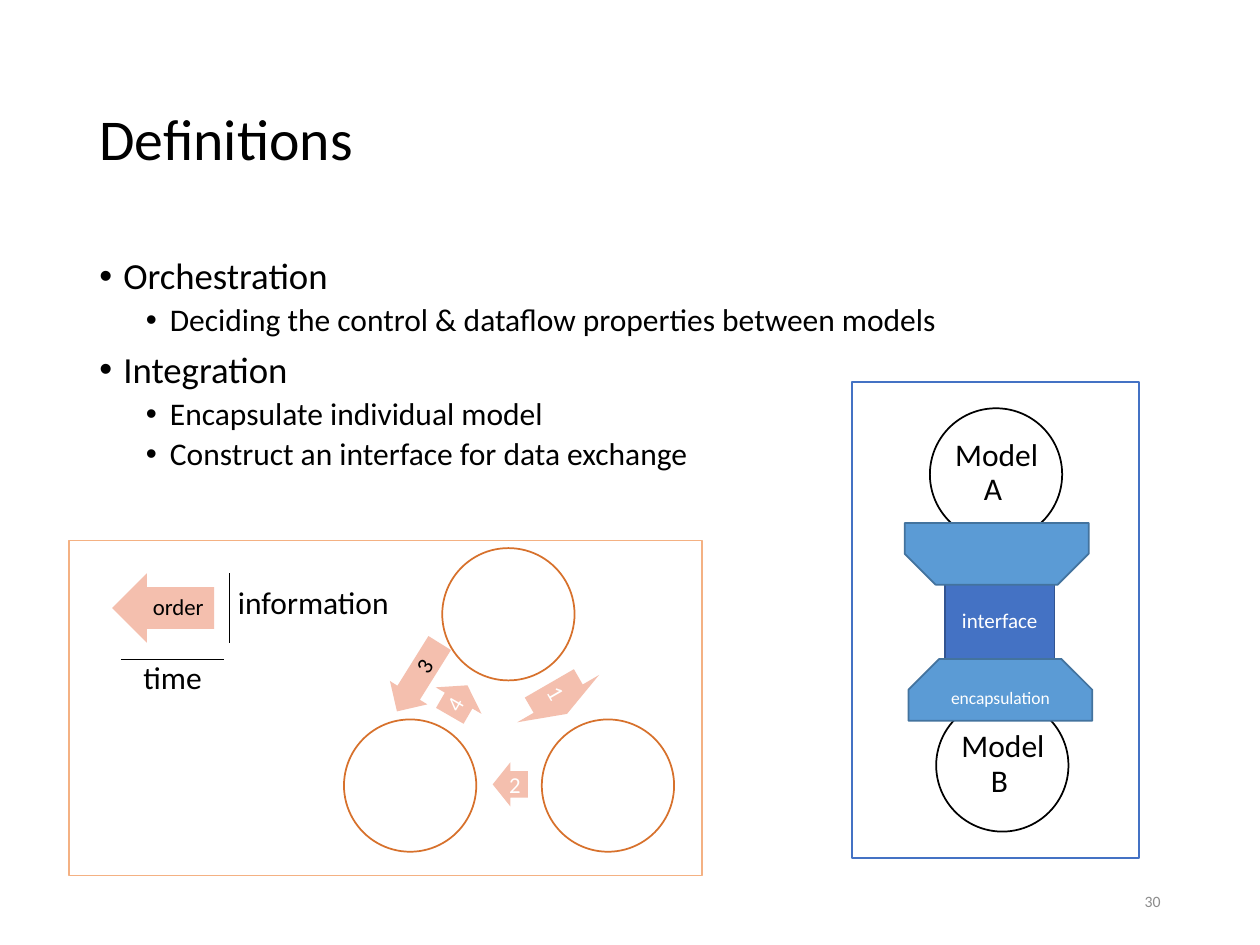
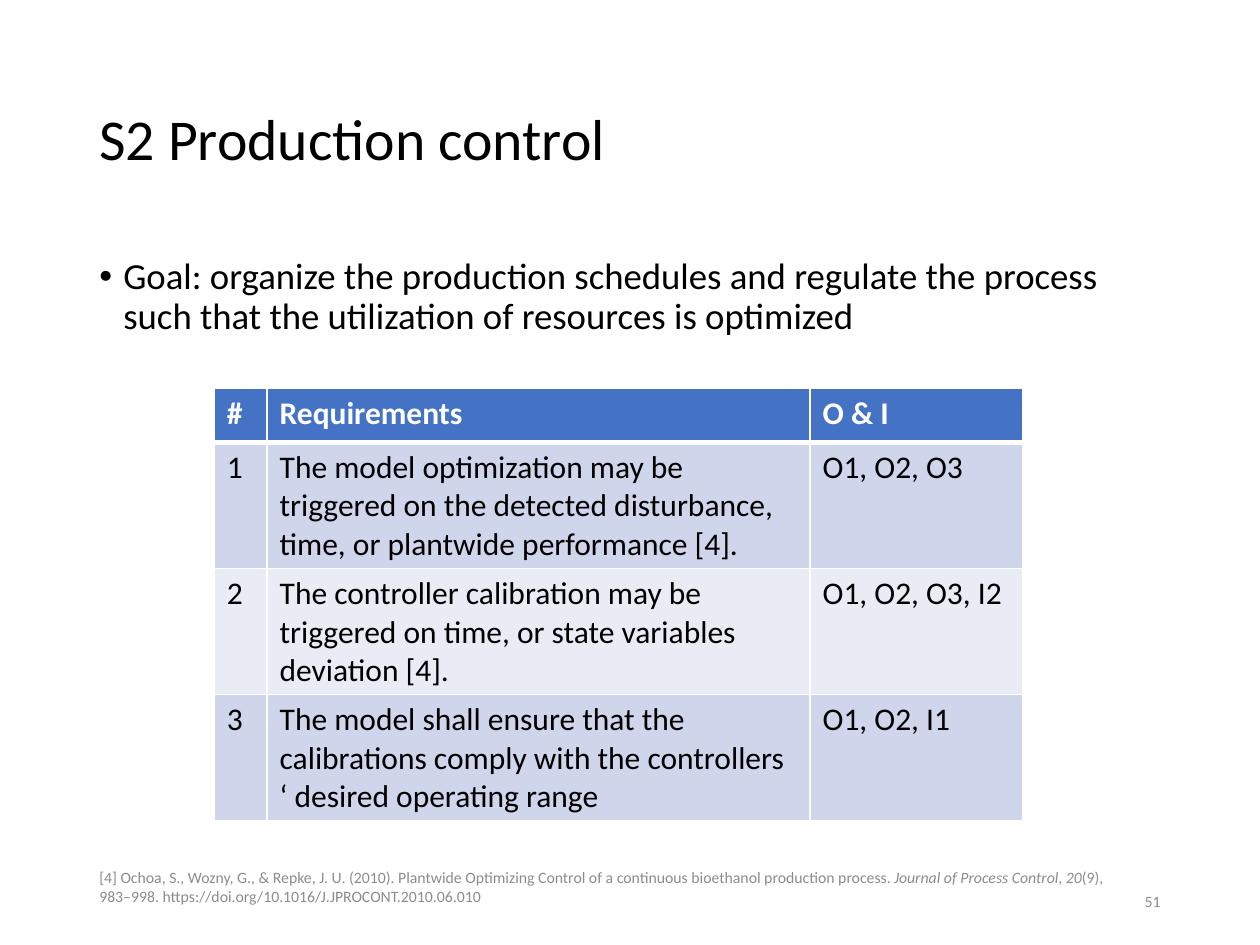
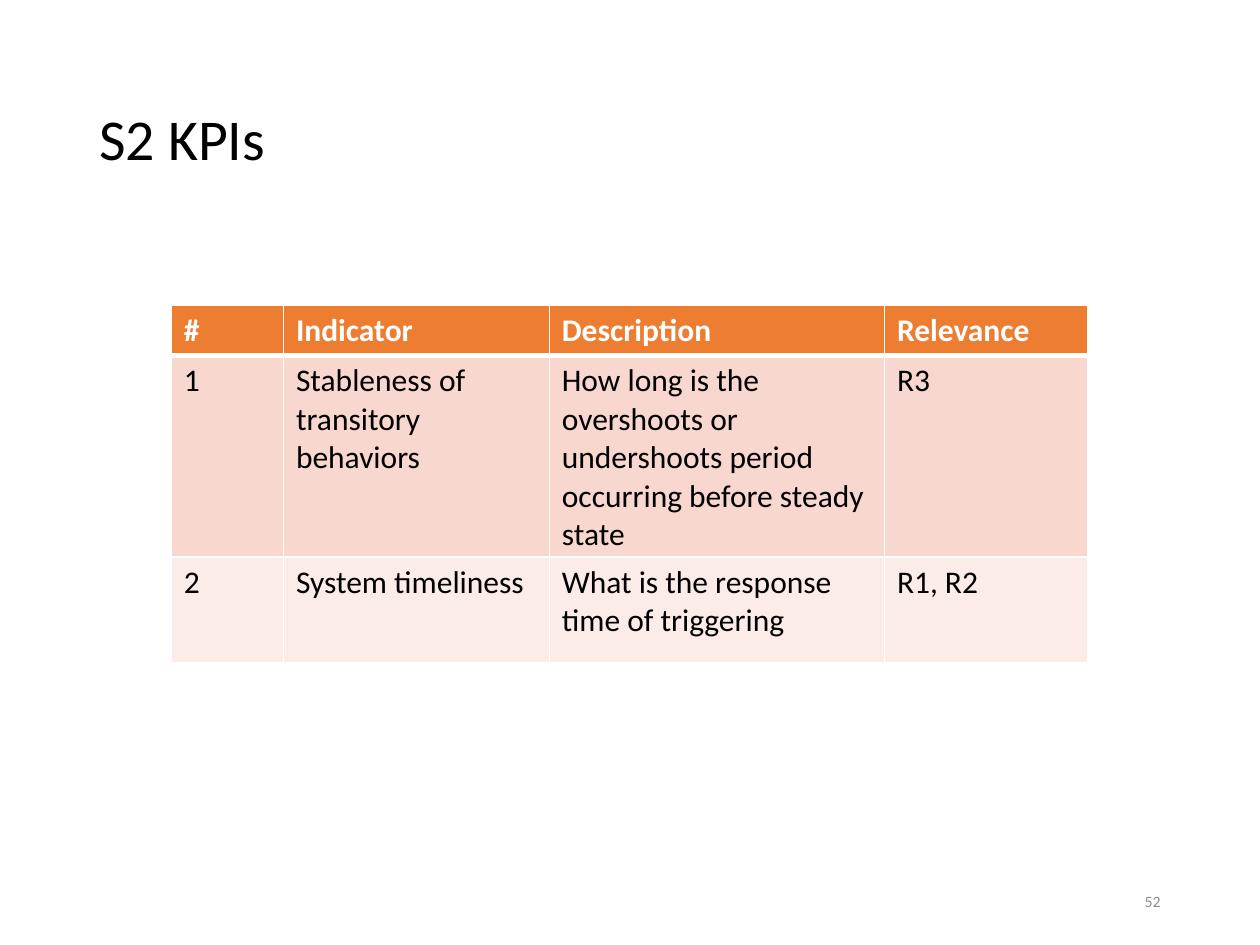
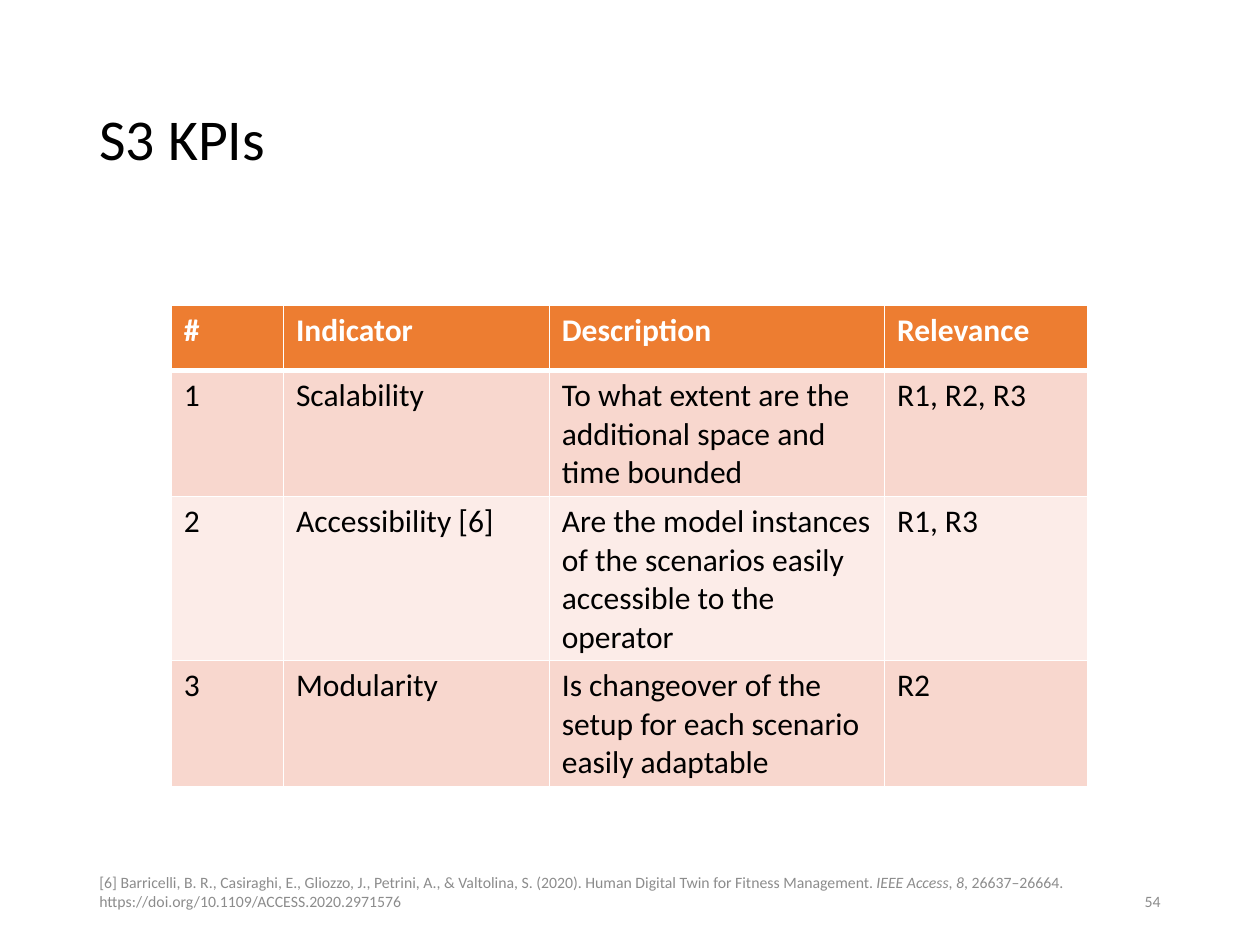
from dataclasses import dataclass

from lxml.etree import SubElement
from pptx import Presentation
from pptx.dml.color import RGBColor
from pptx.enum.shapes import MSO_CONNECTOR as Line, MSO_SHAPE as Shape
from pptx.enum.text import MSO_ANCHOR as Anchor, PP_ALIGN as Align
from pptx.oxml.ns import qn
from pptx.util import Inches, Pt


@dataclass(frozen=True)
class Theme:
    font: str = "Calibri"
    black: str = "000000"
    white: str = "FFFFFF"
    grey: str = "8C8C8C"
    blue: str = "4472C4"
    blue_edge: str = "325491"
    blue_bands: tuple = ("CFD5EA", "E9EBF5")
    sky: str = "5B9BD5"
    sky_edge: str = "43739E"
    orange: str = "ED7D31"
    orange_edge: str = "D7712C"
    orange_frame: str = "F4B183"
    orange_bands: tuple = ("F8D7CE", "FCECE8")
    salmon: str = "F4BFAE"
    title_size: float = 33
    bullet_sizes: tuple = (21, 18)
    text_size: float = 18
    arrow_size: float = 13
    interface_size: float = 12
    cap_size: float = 10
    footer_size: float = 9


THEME = Theme()


def rgb(colour):
    return RGBColor.from_string(colour)


def lengths(values):
    return [Inches(value) for value in values]


class Deck:
    """Holds the style and the slide being filled."""

    def __init__(self, theme):
        self.theme = theme
        self.prs = Presentation()
        self.prs.slide_width, self.prs.slide_height = Inches(10), Inches(7.5)
        self.slide = None

    def new_slide(self, title, number):
        self.slide = self.prs.slides.add_slide(self.prs.slide_layouts[6])
        theme = self.theme
        self.text((0.69, 0.4, 8.62, 1.45), title, theme.title_size,
                  anchor=Anchor.MIDDLE, spacing=0.9)
        self.text((7.06, 6.95, 2.25, 0.4), str(number), theme.footer_size,
                  theme.grey, Align.RIGHT, Anchor.MIDDLE)

    def style(self, paragraph, size, colour, bold=False):
        for run in paragraph.runs:
            run.font.name = self.theme.font
            run.font.size = Pt(size)
            run.font.bold = bold
            run.font.color.rgb = rgb(colour)

    def text(self, box, words, size, colour=THEME.black, align=Align.LEFT,
             anchor=Anchor.TOP, spacing=1.0, inset=None, rotation=0):
        holder = self.slide.shapes.add_textbox(*lengths(box))
        holder.rotation = rotation
        frame = holder.text_frame
        frame.word_wrap = True
        frame.vertical_anchor = anchor
        if inset is not None:
            frame.margin_left = frame.margin_right = Inches(inset)
            frame.margin_top = frame.margin_bottom = Inches(inset)
        frame.text = words
        paragraph = frame.paragraphs[0]
        paragraph.alignment = align
        paragraph.line_spacing = spacing
        self.style(paragraph, size, colour)
        return frame

    def label(self, box, words, size, colour, inset=0, rotation=0):
        self.text(box, words, size, colour, Align.CENTER, Anchor.MIDDLE,
                  0.9, inset, rotation)

    def bullets(self, items):
        holder = self.slide.shapes.add_textbox(*lengths((0.69, 2, 8.62, 4.76)))
        frame = holder.text_frame
        frame.word_wrap = True
        for index, (level, words) in enumerate(items):
            paragraph = frame.add_paragraph() if index else frame.paragraphs[0]
            paragraph.text = words
            paragraph.level = level
            paragraph.line_spacing = 0.9
            if index:
                paragraph.space_before = Pt((7.5, 3.8)[level])
            properties = paragraph._p.get_or_add_pPr()
            properties.set("marL", str(Inches((0.19, 0.56)[level])))
            properties.set("indent", str(Inches(-0.19)))
            SubElement(properties, qn("a:buFont"), typeface="Arial")
            SubElement(properties, qn("a:buChar"), char="•")
            self.style(paragraph, self.theme.bullet_sizes[level], self.theme.black)

    def citation(self, box, parts):
        """Parts alternate between upright and italic."""
        frame = self.text(box, "", self.theme.footer_size, anchor=Anchor.MIDDLE)
        frame.margin_bottom = Inches(0.2)
        paragraph = frame.paragraphs[0]
        for index, part in enumerate(parts):
            run = paragraph.add_run()
            run.text = part
            run.font.italic = index % 2 == 1
        self.style(paragraph, self.theme.footer_size, self.theme.grey)

    def shape(self, kind, box, fill=None, edge=None, rotation=0, adjust=(),
              words="", size=None):
        item = self.slide.shapes.add_shape(kind, *lengths(box))
        item.shadow.inherit = False
        item.rotation = rotation
        for index, value in enumerate(adjust):
            item.adjustments[index] = value
        if fill:
            item.fill.solid()
            item.fill.fore_color.rgb = rgb(fill)
        else:
            item.fill.background()
        if edge:
            item.line.color.rgb = rgb(edge)
            item.line.width = Pt(1)
        else:
            item.line.fill.background()
        if words:
            item.text_frame.text = words
            item.text_frame.vertical_anchor = Anchor.MIDDLE
            item.text_frame.paragraphs[0].alignment = Align.CENTER
            self.style(item.text_frame.paragraphs[0], size, self.theme.white)

    def circle(self, left, top, edge):
        self.shape(Shape.OVAL, (left, top, 1.05, 1.05), self.theme.white, edge)

    def model(self, left, top, name):
        self.circle(left, top, self.theme.black)
        self.label((left + 0.16, top + 0.15, 0.74, 0.74), name,
                   self.theme.text_size, self.theme.black, inset=0.03)

    def cap(self, left, top, rotation=0, words=""):
        self.shape(Shape.SNIP_2_SAME_RECTANGLE, (left, top, 1.46, 0.49),
                   self.theme.sky, self.theme.sky_edge, rotation, (0.5, 0),
                   words, self.theme.cap_size)

    def arrow(self, box, rotation, words, label_box, label_rotation, colour):
        self.shape(Shape.RIGHT_ARROW, box, self.theme.salmon,
                   rotation=rotation, adjust=(0.6, 0.5))
        self.label(label_box, words, self.theme.arrow_size, colour,
                   rotation=label_rotation)

    def rule(self, start, end):
        line = self.slide.shapes.add_connector(
            Line.STRAIGHT, *lengths(start + end))
        line.line.color.rgb = rgb(self.theme.black)
        line.line.width = Pt(0.5)
        SubElement(line._element.spPr, qn("a:effectLst"))

    def table(self, left, top, columns, heights, rows, head, bands):
        box = lengths((left, top, sum(columns), sum(heights)))
        grid = self.slide.shapes.add_table(len(rows), len(columns), *box).table
        grid.horz_banding = False
        for column, width in zip(grid.columns, columns):
            column.width = Inches(width)
        for row, height in zip(grid.rows, heights):
            row.height = Inches(height)
        for r, row in enumerate(rows):
            for c, words in enumerate(row):
                cell = grid.cell(r, c)
                cell.text = words
                top_width = 3 if r == 1 else 1
                bottom_width = 3 if r == 0 else 1
                self.borders(cell, lnL=1, lnR=1, lnT=top_width, lnB=bottom_width)
                cell.fill.solid()
                cell.fill.fore_color.rgb = rgb(bands[(r - 1) % 2] if r else head)
                colour = self.theme.black if r else self.theme.white
                self.style(cell.text_frame.paragraphs[0], self.theme.text_size,
                           colour, bold=r == 0)

    def borders(self, cell, **widths):
        properties = cell._tc.get_or_add_tcPr()
        for side, width in widths.items():
            line = SubElement(properties, qn(f"a:{side}"), w=str(Pt(width)))
            fill = SubElement(line, qn("a:solidFill"))
            SubElement(fill, qn("a:srgbClr"), val=self.theme.white)

    def kpi_table(self, heights, rows):
        self.table(1.36, 2.42, (0.89, 2.11, 2.66, 1.61), heights,
                   [("#", "Indicator", "Description", "Relevance"), *rows],
                   self.theme.orange, self.theme.orange_bands)


def definitions(deck):
    theme = deck.theme
    deck.new_slide("Definitions", 30)
    deck.bullets([
        (0, "Orchestration"),
        (1, "Deciding the control & dataflow properties between models"),
        (0, "Integration"),
        (1, "Encapsulate individual model"),
        (1, "Construct an interface for data exchange"),
    ])

    # Orchestration: cycle of models with ordered exchanges
    for left, top in ((3.51, 4.35), (4.3, 5.71), (2.73, 5.71)):
        deck.circle(left, top, theme.orange_edge)
    for exchange in (
        ((4.29, 5.17, 0.28, 0.75), 60, "1", (4.31, 5.28, 0.19, 0.45), 60, theme.white),
        ((3.91, 6.05, 0.28, 0.35), 180, "2", (3.99, 6.13, 0.19, 0.21), 0, theme.white),
        ((3.5, 5.35, 0.28, 0.42), 300, "4", (3.52, 5.47, 0.19, 0.25), 300, theme.white),
        ((3, 5.2, 0.64, 0.35), 122, "3", (3.15, 5.19, 0.45, 0.21), 302, theme.black),
        ((0.89, 4.55, 0.81, 0.55), 180, "order", (1.13, 4.66, 0.57, 0.33), 0, theme.black),
    ):
        deck.arrow(*exchange)

    # Legend of the arrows
    deck.rule((0.96, 5.23), (1.78, 5.23))
    deck.rule((1.82, 4.55), (1.82, 5.1))
    deck.text((1.04, 5.17, 1.09, 0.4), "time", theme.text_size)
    deck.text((1.79, 4.58, 1.53, 0.4), "information", theme.text_size)
    deck.shape(Shape.RECTANGLE, (0.55, 4.29, 5.02, 2.66), edge=theme.orange_frame)

    # Integration: two encapsulated models joined by an interface
    deck.shape(Shape.RECTANGLE, (7.5, 4.61, 0.87, 0.62), theme.blue,
               theme.blue_edge, words="interface", size=theme.interface_size)
    deck.model(7.38, 3.24, "Model A ")
    deck.model(7.43, 5.55, "Model B ")
    deck.cap(7.21, 5.23, words="encapsulation")
    deck.cap(7.18, 4.15, rotation=180)
    deck.shape(Shape.RECTANGLE, (6.76, 3.03, 2.28, 3.78), edge=theme.blue)


def production_control(deck):
    deck.new_slide("S2 Production control", 51)
    deck.bullets([(0, "Goal: organize the production schedules and regulate the "
                      "process such that the utilization of resources is optimized")])
    deck.citation((0.69, 6.95, 8.43, 0.33), (
        "[4] Ochoa, S., Wozny, G., & Repke, J. U. (2010). Plantwide Optimizing "
        "Control of a continuous bioethanol production process. ",
        "Journal of Process Control", ", ", "20",
        "(9), 983–998. https://doi.org/10.1016/J.JPROCONT.2010.06.010"))
    deck.table(1.7, 3.08, (0.42, 4.31, 1.69), (0.43, 0.62, 0.64, 0.62), [
        ("#", "Requirements", "O & I"),
        ("1", "The model optimization may be triggered on the detected "
              "disturbance, time, or plantwide performance [4].", "O1, O2, O3"),
        ("2", "The controller calibration may be triggered on time, or state "
              "variables deviation [4].", "O1, O2, O3, I2"),
        ("3", "The model shall ensure that the calibrations comply with the "
              "controllers ‘ desired operating range", "O1, O2, I1"),
    ], deck.theme.blue, deck.theme.blue_bands)


def production_kpis(deck):
    deck.new_slide("S2 KPIs", 52)
    deck.kpi_table((0.4, 1.14, 0.84), [
        ("1", "Stableness of transitory behaviors",
         "How long is the overshoots or undershoots period occurring before "
         "steady state", "R3"),
        ("2", "System timeliness", "What is the response time of triggering",
         "R1, R2"),
    ])


def scenario_kpis(deck):
    deck.new_slide("S3 KPIs", 54)
    deck.kpi_table((0.52, 0.59, 0.82, 0.82), [
        ("1", "Scalability",
         "To what extent are the additional space and time bounded", "R1, R2, R3"),
        ("2", "Accessibility [6]",
         "Are the model instances of the scenarios easily accessible to the "
         "operator", "R1, R3"),
        ("3", "Modularity",
         "Is changeover of the setup for each scenario easily adaptable", "R2"),
    ])
    deck.citation((0.69, 6.95, 8.41, 0.4), (
        "[6] Barricelli, B. R., Casiraghi, E., Gliozzo, J., Petrini, A., & "
        "Valtolina, S. (2020). Human Digital Twin for Fitness Management. ",
        "IEEE Access", ", ", "8",
        ", 26637–26664. https://doi.org/10.1109/ACCESS.2020.2971576"))


def main():
    deck = Deck(THEME)
    for build in (definitions, production_control, production_kpis, scenario_kpis):
        build(deck)
    deck.prs.save("out.pptx")


if __name__ == "__main__":
    main()
